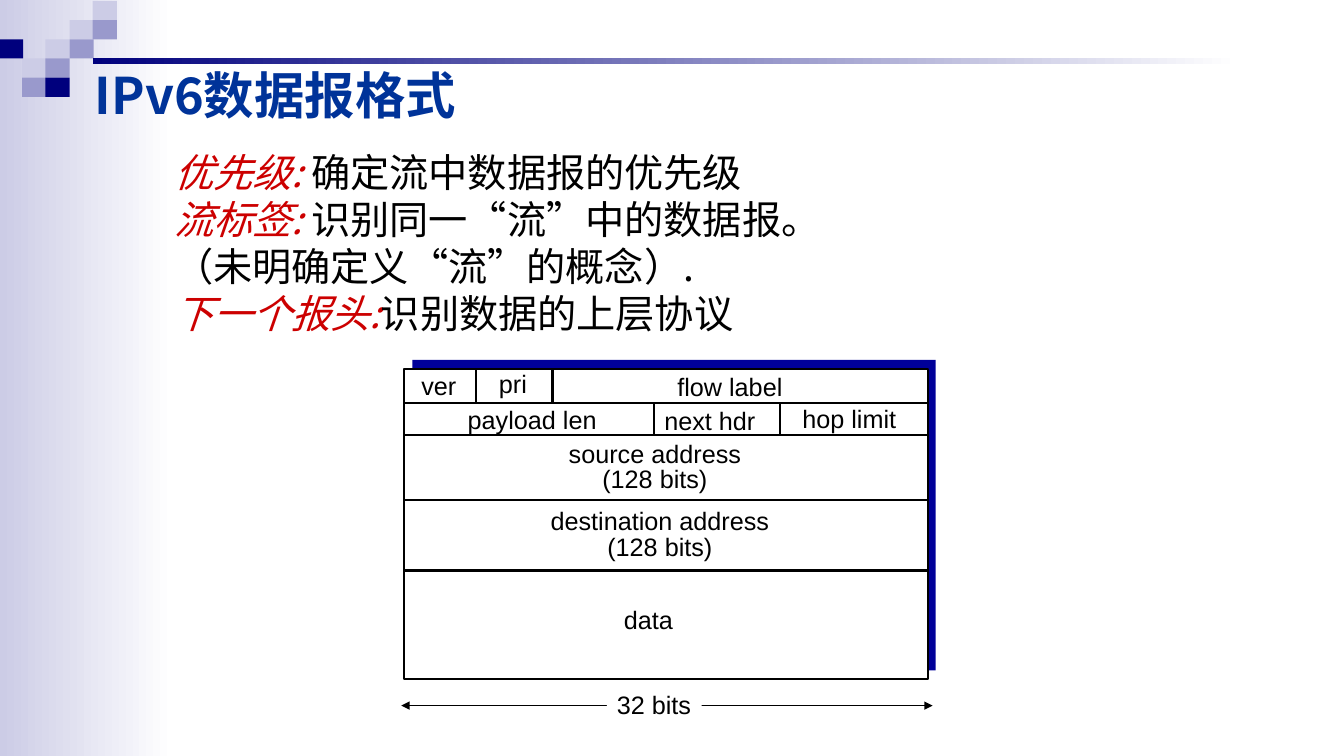
from lxml import etree
from pptx import Presentation
from pptx.dml.color import RGBColor
from pptx.enum.shapes import MSO_CONNECTOR, MSO_SHAPE
from pptx.enum.text import MSO_ANCHOR, PP_ALIGN
from pptx.oxml.ns import qn
from pptx.util import Inches, Pt

NAVY = RGBColor(0x00, 0x00, 0x7D)
MID_BLUE = RGBColor(0x99, 0x99, 0xCC)
PALE_BLUE = RGBColor(0xCC, 0xCC, 0xE6)
SHADOW_BLUE = RGBColor(0x00, 0x00, 0x99)
TITLE_BLUE = RGBColor(0x00, 0x33, 0x99)
RED = RGBColor(0xCC, 0x00, 0x00)
BLACK = RGBColor(0, 0, 0)
WHITE = RGBColor(255, 255, 255)
CJK = "Noto Sans CJK SC"


def add_run(paragraph, text, color, **formats):
    run = paragraph.add_run()
    run.text = text
    run.font.color.rgb = color
    for name, value in formats.items():
        setattr(run.font, name, value)
    if run.font.name == CJK:
        etree.SubElement(run.font._element, qn("a:ea"), typeface=CJK)


def add_box(left, top, width, height, *colors):
    box = slide.shapes.add_shape(
        MSO_SHAPE.RECTANGLE, Inches(left), Inches(top), Inches(width), Inches(height))
    box.shadow.inherit = False
    box.line.fill.background()
    if len(colors) == 1:
        box.fill.solid()
        box.fill.fore_color.rgb = colors[0]
    else:
        box.fill.gradient()
        box.fill.gradient_angle = 0
        for stop, color in zip(box.fill.gradient_stops, colors):
            stop.color.rgb = color
    return box


presentation = Presentation()
presentation.slide_width = Inches(13.33)
presentation.slide_height = Inches(7.5)
slide = presentation.slides.add_slide(presentation.slide_layouts[5])

# Side band, mosaic of squares and title rule
add_box(0, 0, 1.73, 7.5, PALE_BLUE, WHITE)
columns = (-0.01, 0.22, 0.45, 0.69, 0.92)
squares = {
    PALE_BLUE: [(4, 0), (3, 1), (2, 2), (1, 3)],
    MID_BLUE: [(4, 1), (3, 2), (2, 3), (1, 4)],
    NAVY: [(0, 2), (2, 4)],
}
for color, places in squares.items():
    for column, row in places:
        add_box(columns[column], 0.01 + 0.19 * row, 0.24, 0.19, color)
add_box(0.92, 0.58, 11.37, 0.06, NAVY, WHITE)

# Title, brought in front of the side band
title = slide.shapes.title
title.element.getparent().append(title.element)
title.left, title.top, title.width, title.height = map(Inches, (0.84, 0.44, 8.5, 0.99))
title.text_frame.vertical_anchor = MSO_ANCHOR.MIDDLE
title_paragraph = title.text_frame.paragraphs[0]
title_paragraph.alignment = PP_ALIGN.LEFT
add_run(title_paragraph, "IPv6数据报格式", TITLE_BLUE, name=CJK, size=Pt(36), bold=True)

# Field explanations: red term, black meaning
explanations = [
    ("优先级: ", "确定流中数据报的优先级"),
    ("流标签: ", "识别同一“流”中的数据报。"),
    ("", "（未明确定义“流”的概念）."),
    ("下一个报头:", "识别数据的上层协议"),
]
body = slide.shapes.add_textbox(Inches(1.63), Inches(1.43), Inches(9.53), Inches(1.99))
body.text_frame.word_wrap = True
for index, (term, meaning) in enumerate(explanations):
    paragraph = body.text_frame.paragraphs[0] if index == 0 else body.text_frame.add_paragraph()
    paragraph.line_spacing = Pt(33.4)
    if term:
        add_run(paragraph, term, RED, name=CJK, size=Pt(28), italic=True)
    add_run(paragraph, meaning, BLACK, name=CJK, size=Pt(28))

# Datagram frame with its offset shadow
add_box(4.09, 3.57, 5.19, 3.08, SHADOW_BLUE)
frame = add_box(4.01, 3.66, 5.19, 3.08, WHITE)
frame.line.color.rgb = BLACK
frame.line.width = Pt(1.5)

# Row rules, field dividers and the width arrow
row_rules = [(4.01, y, 9.2, y, 1.5) for y in (4, 4.32, 4.96, 5.66)]
dividers = [(x, y, x, y + 0.33, 1.5)
            for x, y in ((4.72, 3.66), (5.48, 3.66), (6.49, 3.99), (7.74, 3.99))]
width_arrow = (3.98, 7, 9.25, 7, 0.75)
for *ends, weight in row_rules + dividers + [width_arrow]:
    line = slide.shapes.add_connector(MSO_CONNECTOR.STRAIGHT, *map(Inches, ends))
    line.line.color.rgb = BLACK
    line.line.width = Pt(weight)
    properties = line._element.spPr
    etree.SubElement(properties, qn("a:effectLst"))
# The arrow is the last line drawn
for end in ("a:headEnd", "a:tailEnd"):
    etree.SubElement(properties.find(qn("a:ln")), qn(end), type="triangle")

# Field labels
labels = [
    ("ver", 4.08, 3.62, 0.55),
    ("pri", 4.85, 3.61, 0.48),
    ("flow label", 6.62, 3.63, 1.24),
    ("payload len", 4.54, 3.96, 1.48),
    ("next hdr", 6.49, 3.97, 1.1),
    ("hop limit", 7.86, 3.95, 1.13),
    ("source address\n(128 bits)", 5.54, 4.34, 1.91),
    ("destination address\n(128 bits)", 5.36, 5.01, 2.37),
    ("data", 6.09, 5.95, 0.69),
    ("32 bits", 6.02, 6.79, 0.94),
]
for text, left, top, width in labels:
    lines = text.split("\n")
    height = 0.4 if len(lines) == 1 else 0.61
    label = slide.shapes.add_textbox(Inches(left), Inches(top), Inches(width), Inches(height))
    label.text_frame.word_wrap = False
    for index, words in enumerate(lines):
        paragraph = label.text_frame.paragraphs[0] if index == 0 else label.text_frame.add_paragraph()
        if len(lines) > 1:
            paragraph.alignment = PP_ALIGN.CENTER
            paragraph.line_spacing = 0.85
        add_run(paragraph, words, BLACK, name="Arial", size=Pt(18))
# The last label interrupts the width arrow
label.fill.solid()
label.fill.fore_color.rgb = WHITE

presentation.save("out.pptx")
